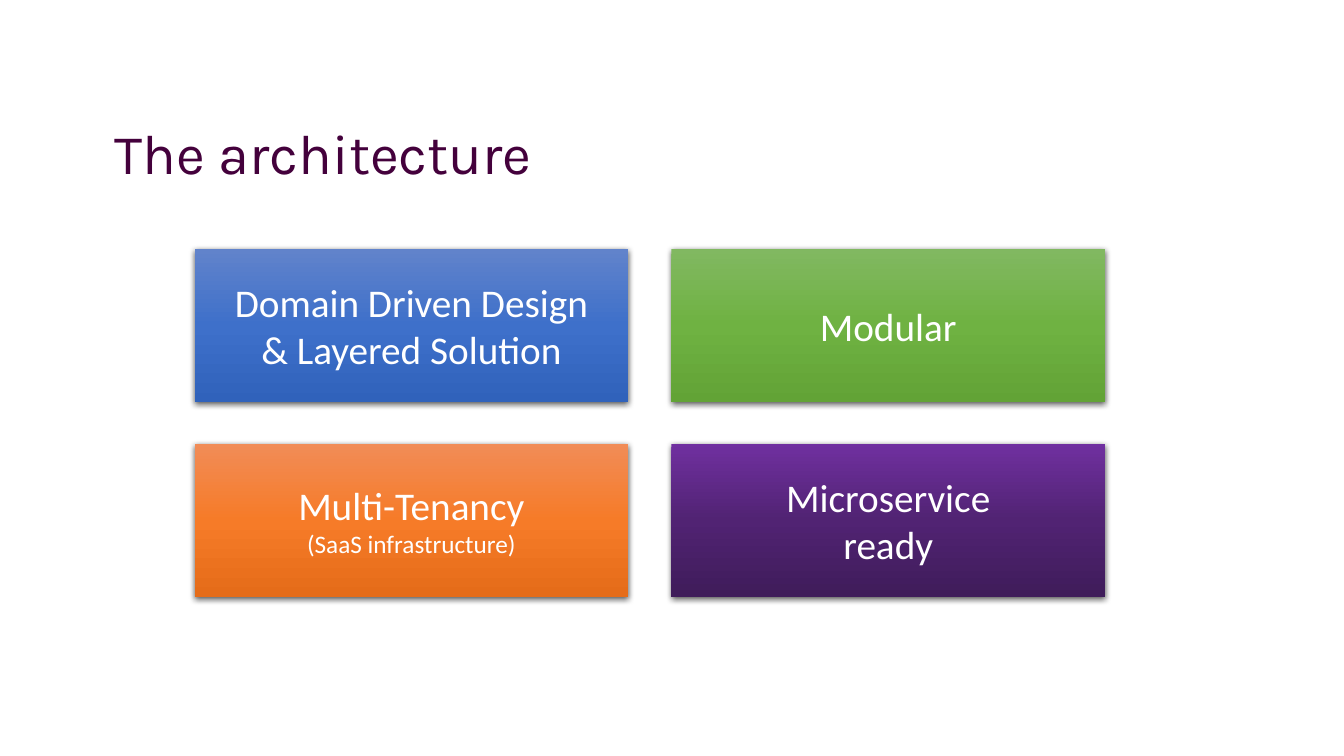
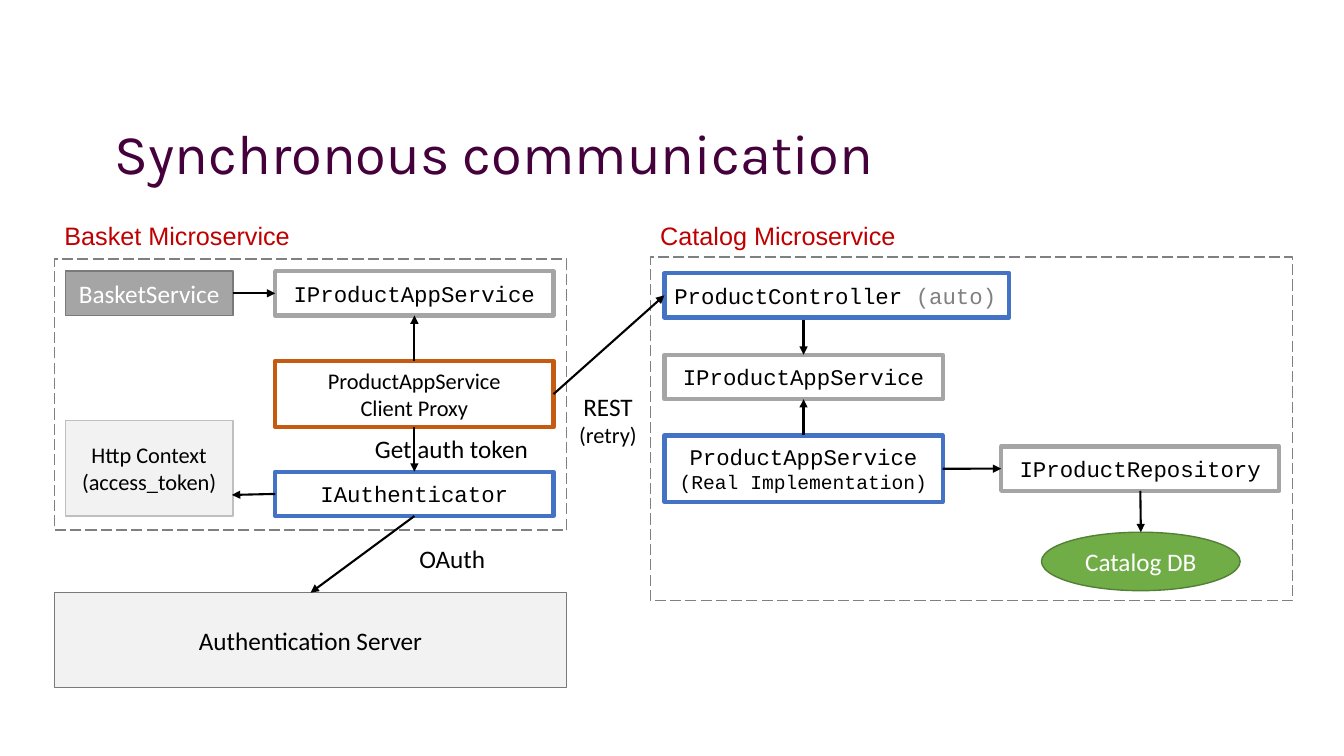
"""Build two slides on a modular architecture and its synchronous communication."""
from dataclasses import dataclass, replace

from lxml.etree import SubElement
from copy import deepcopy
from pptx import Presentation
from pptx.dml.color import RGBColor
from pptx.enum.dml import MSO_LINE
from pptx.enum.shapes import MSO_CONNECTOR, MSO_SHAPE as SHAPE
from pptx.enum.text import MSO_ANCHOR, MSO_AUTO_SIZE, PP_ALIGN as ALIGN
from pptx.oxml.ns import qn
from pptx.util import Inches, Pt


@dataclass(frozen=True)
class Style:
    font: str
    size: int
    color: str


class Theme:
    black, white, gray, dark_gray = "000000", "FFFFFF", "A5A5A5", "7A7A7A"
    blue, orange, green, dark_green = "4472C4", "C55A11", "70AD47", "538035"
    pale, pale_edge, frame = "F2F2F2", "BFBFBF", "808080"
    thin, arrow, thick = 1, 1.5, 3
    title = Style("Karla", 40, "44013C")
    card = Style("Calibri", 28, white)
    card_note = replace(card, size=18)
    label = Style("Calibri", 18, black)
    small = replace(label, size=16)
    inverse = replace(label, color=white)
    code = Style("Courier New", 16, black)
    code_note = replace(code, size=14)
    code_faded = replace(code, color=frame)
    heading = Style("Arial", 18, "C00000")


def lines(style, *texts):
    return [[(text, style)] for text in texts]


CARDS = [
    (("6183CB", "3E70CA", "3062BB"),
     lines(Theme.card, "Domain Driven Design", "& Layered Solution")),
    (("81B861", "6FB242", "62A336"), lines(Theme.card, "Modular")),
    (("F18C57", "F67B28", "E56C19"),
     lines(Theme.card, "Multi-Tenancy") + lines(Theme.card_note, "(SaaS infrastructure)")),
    (("7030A0", "512373", "3F1C5A"), lines(Theme.card, "Microservice", "ready")),
]
CARD_LEFT, CARD_TOP, CARD_WIDTH, CARD_HEIGHT = 1.93, 2.47, 4.3, 1.52
CARD_COLUMNS, CARD_STEP_X, CARD_STEP_Y = 2, 4.73, 1.93

FRAMES = [(0.54, 2.57, 5.08, 2.69), (6.45, 2.55, 6.37, 3.41)]

WIDE, LOW, TALL = 2.76, 0.44, 0.66
CLIENT_X, SERVER_X, SIDE_X = 2.73, 6.59, 0.65
INTERFACE = (Theme.white, Theme.gray, Theme.thick)
CLASS = (None, Theme.blue, Theme.thick)
PROXY = (None, Theme.orange, Theme.thick)
SERVICE = (Theme.gray, Theme.dark_gray, Theme.thin)
SERVER = (Theme.pale, Theme.dark_gray, Theme.thin)
CONTEXT = (Theme.pale, Theme.pale_edge, Theme.thin)
STORE = (Theme.green, Theme.dark_green, Theme.thin)

BOXES = {
    "basket": ((SIDE_X, 2.69, 1.66, LOW), SERVICE, lines(Theme.inverse, "BasketService")),
    "context": ((SIDE_X, 4.17, 1.66, 0.95), CONTEXT,
                lines(Theme.small, "Http Context", "(access_token)")),
    "client interface": ((CLIENT_X, 2.69, WIDE, LOW), INTERFACE,
                         lines(Theme.code, "IProductAppService")),
    "proxy": ((CLIENT_X, 3.58, WIDE, TALL), PROXY,
              lines(Theme.small, "ProductAppService", "Client Proxy")),
    "authenticator": ((CLIENT_X, 4.68, WIDE, LOW), CLASS, lines(Theme.code, "IAuthenticator")),
    "auth server": ((0.54, 5.88, 5.08, 0.94), SERVER,
                    lines(Theme.label, "Authentication Server")),
    "controller": ((SERVER_X, 2.71, 3.42, LOW), CLASS,
                   [[("ProductController", Theme.code), (" (auto)", Theme.code_faded)]]),
    "server interface": ((SERVER_X, 3.52, WIDE, LOW), INTERFACE,
                         lines(Theme.code, "IProductAppService")),
    "implementation": ((SERVER_X, 4.32, WIDE, TALL), CLASS,
                       lines(Theme.code, "ProductAppService")
                       + lines(Theme.code_note, "(Real Implementation)")),
    "repository": ((9.93, 4.43, WIDE, LOW), INTERFACE, lines(Theme.code, "IProductRepository")),
    "database": ((10.33, 5.28, 1.97, 0.58), STORE, lines(Theme.inverse, "Catalog DB")),
}
LEFT_ALIGNED, OVALS = {"controller"}, {"database"}

TOP, LEFT, BOTTOM, RIGHT = range(4)
ARROWS = [
    (("basket", RIGHT), ("client interface", LEFT)),
    (("proxy", TOP), ("client interface", BOTTOM)),
    (("proxy", BOTTOM), ("authenticator", TOP)),
    (("proxy", RIGHT), ("controller", LEFT)),
    ((7.97, 3.17), ("server interface", TOP)),
    (("implementation", TOP), ("server interface", BOTTOM)),
    (("implementation", RIGHT), ("repository", LEFT)),
    (("repository", BOTTOM), ("database", TOP)),
    (("authenticator", BOTTOM), ("auth server", TOP)),
    (("authenticator", LEFT), (2.3, 4.91)),
]

LABELS = [
    ((0.54, 2.14, 2.46, 0.4), ALIGN.LEFT, lines(Theme.heading, "Basket Microservice")),
    ((6.45, 2.14, 2.56, 0.4), ALIGN.LEFT, lines(Theme.heading, "Catalog Microservice")),
    ((3.62, 4.25, 2.16, 0.4), ALIGN.LEFT, lines(Theme.label, "Get auth token")),
    ((4.06, 5.34, 1.01, 0.4), ALIGN.LEFT, lines(Theme.label, "OAuth")),
    ((5.64, 3.83, 0.78, 0.67), ALIGN.CENTER,
     lines(Theme.label, "REST") + lines(Theme.small, "(retry)")),
]


def rgb(color):
    return RGBColor.from_string(color)


def inches(values):
    return [Inches(value) for value in values]


def write(frame, content, align, anchor=MSO_ANCHOR.MIDDLE):
    frame.word_wrap = True
    frame.vertical_anchor = anchor
    frame.text = "\n".join("" for _ in content)
    for para, spans in zip(frame.paragraphs, content):
        para.alignment = align
        for text, style in spans:
            span = para.add_run()
            span.text = text
            span.font.name = style.font
            span.font.size = Pt(style.size)
            span.font.color.rgb = rgb(style.color)


def add_page(deck, title):
    page = deck.slides.add_slide(deck.slide_layouts.get_by_name("Title Only"))
    box = page.shapes.title
    box.left, box.top, box.width, box.height = inches((1.04, 0.97, 11.25, 1.17))
    write(box.text_frame, lines(Theme.title, title), ALIGN.LEFT)
    box.text_frame.auto_size = MSO_AUTO_SIZE.NONE
    box.text_frame.paragraphs[0].line_spacing = 0.9
    return page


def add_box(page, place, look, content=(), align=ALIGN.CENTER, kind=SHAPE.RECTANGLE):
    fill, edge, weight = look
    box = page.shapes.add_shape(kind, *inches(place))
    box.shadow.inherit = False
    if fill:
        box.fill.solid()
        box.fill.fore_color.rgb = rgb(fill)
    else:
        box.fill.background()
    if edge:
        box.line.color.rgb = rgb(edge)
        box.line.width = Pt(weight)
    else:
        box.line.fill.background()
    if content:
        write(box.text_frame, content, align)
    return box


def add_gradient(box, colors):
    box.fill.gradient()
    box.fill.gradient_angle = 270
    stops = box._element.spPr.find(".//" + qn("a:gsLst"))
    while len(stops) < len(colors):
        stops.append(deepcopy(stops[-1]))
    for index, (stop, color) in enumerate(zip(box.fill.gradient_stops, colors)):
        stop.position = index / (len(colors) - 1)
        stop.color.rgb = rgb(color)


def add_shadow(box):
    effects = box._element.spPr.find(qn("a:effectLst"))
    shadow = SubElement(effects, qn("a:outerShdw"), blurRad=str(Pt(4.5)), dist=str(Pt(1.5)),
                        dir="5400000", algn="ctr", rotWithShape="0")
    color = SubElement(shadow, qn("a:srgbClr"), val=Theme.black)
    SubElement(color, qn("a:alpha"), val="63000")


def add_arrow(page, boxes, start, end):
    points = [(0, 0) if point[0] in boxes else inches(point) for point in (start, end)]
    arrow = page.shapes.add_connector(MSO_CONNECTOR.STRAIGHT, *points[0], *points[1])
    for point, connect in ((start, arrow.begin_connect), (end, arrow.end_connect)):
        if point[0] in boxes:
            connect(boxes[point[0]], point[1])
    arrow.line.color.rgb = rgb(Theme.black)
    arrow.line.width = Pt(Theme.arrow)
    SubElement(arrow.line._get_or_add_ln(), qn("a:tailEnd"), type="triangle")
    SubElement(arrow._element.spPr, qn("a:effectLst"))


def build_architecture(deck):
    page = add_page(deck, "The architecture")
    for index, (colors, content) in enumerate(CARDS):
        row, column = divmod(index, CARD_COLUMNS)
        place = (CARD_LEFT + column * CARD_STEP_X, CARD_TOP + row * CARD_STEP_Y,
                 CARD_WIDTH, CARD_HEIGHT)
        card = add_box(page, place, (None, None, 0), content)
        add_gradient(card, colors)
        add_shadow(card)


def build_communication(deck):
    page = add_page(deck, "Synchronous communication")
    for place in FRAMES:
        frame = add_box(page, place, (None, Theme.frame, Theme.thin))
        frame.line.dash_style = MSO_LINE.LONG_DASH
    boxes = {}
    for name, (place, look, content) in BOXES.items():
        align = ALIGN.LEFT if name in LEFT_ALIGNED else ALIGN.CENTER
        kind = SHAPE.OVAL if name in OVALS else SHAPE.RECTANGLE
        boxes[name] = add_box(page, place, look, content, align, kind)
    for start, end in ARROWS:
        add_arrow(page, boxes, start, end)
    for place, align, content in LABELS:
        label = page.shapes.add_textbox(*inches(place))
        write(label.text_frame, content, align, MSO_ANCHOR.TOP)


def main():
    deck = Presentation()
    deck.slide_width, deck.slide_height = inches((13.33, 7.5))
    build_architecture(deck)
    build_communication(deck)
    deck.save("out.pptx")


if __name__ == "__main__":
    main()
